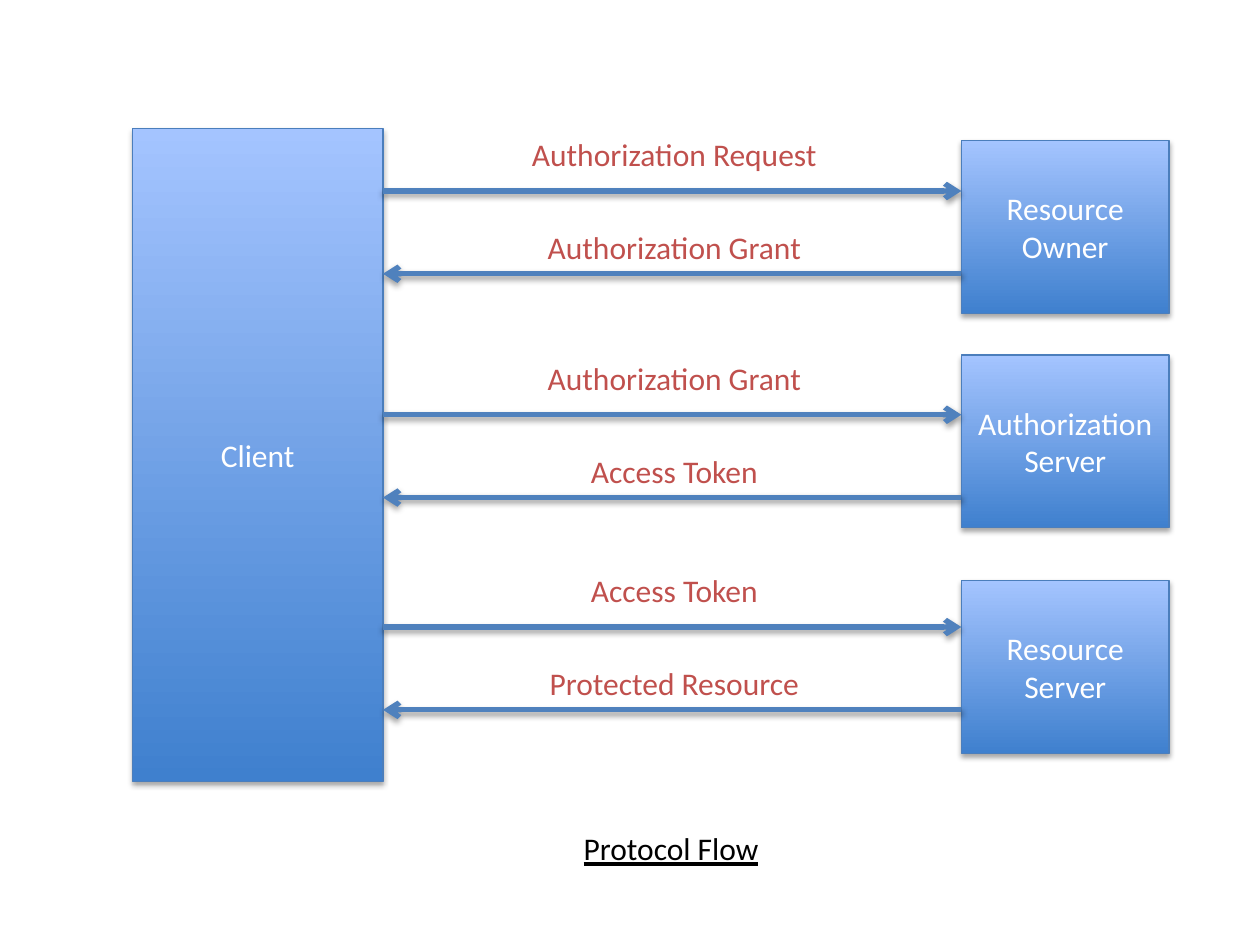
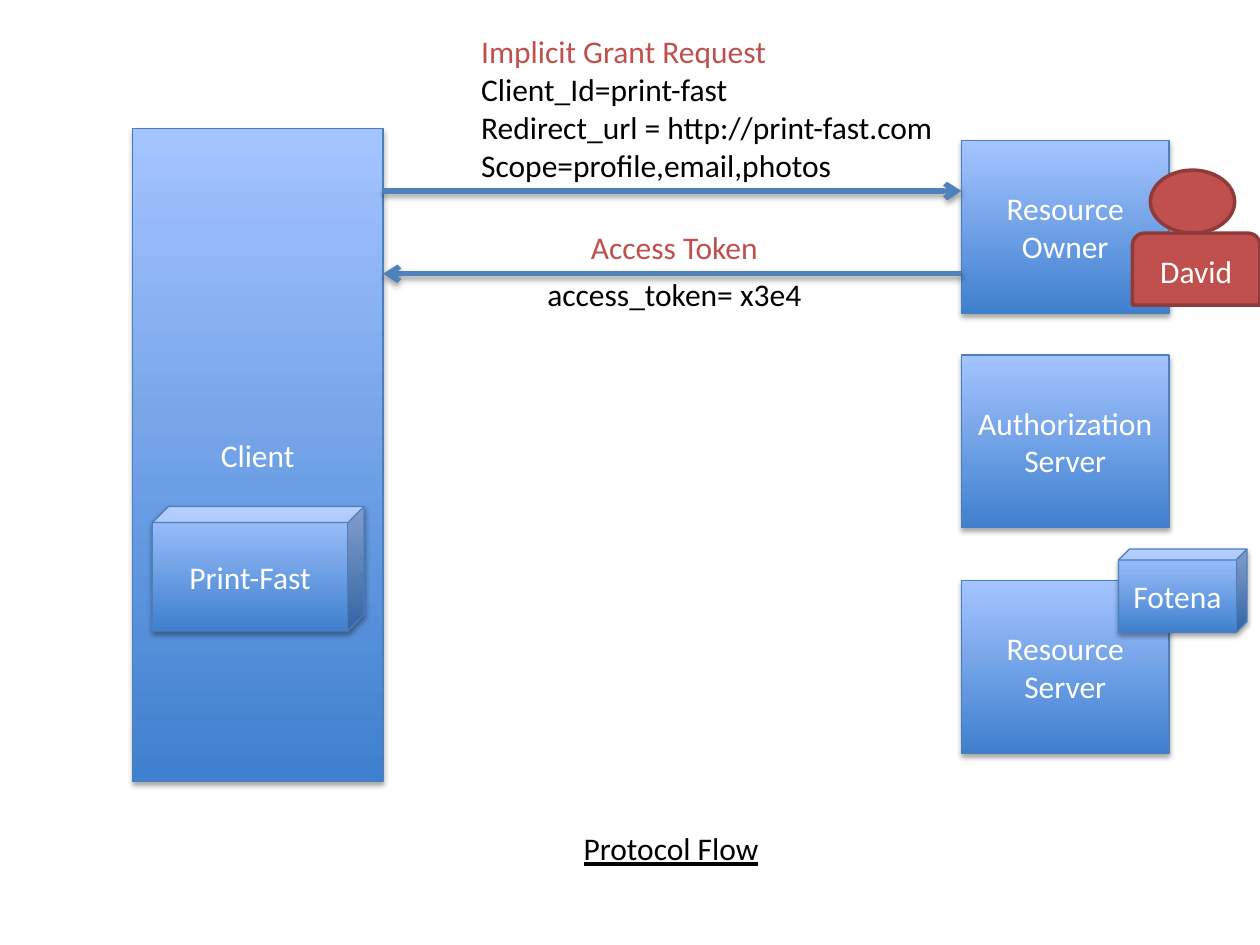
"""Build two slides that show the authorization protocol flow."""
from dataclasses import dataclass
from typing import Any

import lxml.etree
import pptx
import pptx.dml.color
import pptx.enum.shapes
import pptx.enum.text
import pptx.oxml.ns
import pptx.util

Cm = pptx.util.Cm
Pt = pptx.util.Pt
qn = pptx.oxml.ns.qn
Preset = pptx.enum.shapes.MSO_SHAPE
Align = pptx.enum.text.PP_ALIGN

FONT, TEXT_SIZE = "Calibri", 18
WHITE, BLACK, RED, DARK_RED = "FFFFFF", "000000", "C0504D", "8E3B39"
GRADIENT = ("3F80CE", "A4C4FF")
EDGE_BLUE, ARROW_BLUE = "4B7EBC", "4F81BD"

CLIENT_RIGHT, SERVER_LEFT = 7.72, 19.38
SERVER_WIDTH, SERVER_HEIGHT = 4.19, 3.48
LABEL_LEFT, LABEL_WIDTH, LABEL_HEIGHT = 9.86, 7.47, 1.02
ARROW_GAP, LABEL_GAP = 1.67, 1.88


@dataclass(frozen=True)
class Node:
    text: str
    left: float
    top: float
    width: float
    height: float
    preset: Any = Preset.RECTANGLE
    flat: bool = False


@dataclass(frozen=True)
class Label:
    text: str
    left: float
    top: float
    width: float
    height: float = LABEL_HEIGHT
    colors: tuple[str, ...] = (RED,)
    align: Any = Align.CENTER
    underline: bool = False


@dataclass(frozen=True)
class Exchange:
    request: str
    reply: str
    arrow_top: float
    label_top: float


def server(text: str, top: float) -> Node:
    return Node(text, SERVER_LEFT, top, SERVER_WIDTH, SERVER_HEIGHT)


def arrow_label(text: str, top: float, color: str = RED) -> Label:
    return Label(text, LABEL_LEFT, top, LABEL_WIDTH, colors=(color,))


PARTIES = (
    Node("Client", 2.67, 2.59, CLIENT_RIGHT - 2.67, 13.16),
    server("Resource Owner", 2.84),
    server("Authorization Server", 7.16),
    server("Resource Server", 11.71),
)
CAPTION = Label("Protocol Flow", 8.64, 16.59, 9.78, colors=(BLACK,), underline=True)
EXCHANGES = (
    Exchange("Authorization Request", "Authorization Grant", 3.85, 2.59),
    Exchange("Authorization Grant", "Access Token", 8.36, 7.11),
    Exchange("Access Token", "Protected Resource", 12.64, 11.38),
)
GRANT_REQUEST = Label(
    "Implicit Grant Request\nClient_Id=print-fast\n"
    "Redirect_url = http://print-fast.com\nScope=profile,email,photos",
    9.45, 0.53, 10.74, 4.11, (RED, BLACK, BLACK, BLACK), Align.LEFT)
USER = (
    Node("", 23.19, 3.43, 1.7, 1.27, Preset.OVAL, flat=True),
    Node("David", 22.83, 4.7, 2.57, 1.45, Preset.ROUND_2_SAME_RECTANGLE, flat=True),
)
PRINT_APP = Node("Print-Fast", 3.07, 10.21, 4.27, 2.51, Preset.CUBE)
PHOTO_APP = Node("Fotena", 22.55, 11.07, 2.59, 1.68, Preset.CUBE)


def rgb(color: str) -> pptx.dml.color.RGBColor:
    return pptx.dml.color.RGBColor.from_string(color)


def add_shadow(item: Any, distance: float, opacity: int) -> None:
    effects = lxml.etree.SubElement(item._element.spPr, qn("a:effectLst"))
    shadow = lxml.etree.SubElement(
        effects, qn("a:outerShdw"), blurRad=str(Pt(3.1)), dist=str(Pt(distance)),
        dir="5400000", rotWithShape="0")
    tone = lxml.etree.SubElement(shadow, qn("a:srgbClr"), val=BLACK)
    lxml.etree.SubElement(tone, qn("a:alpha"), val=str(opacity * 1000))


def write(frame: Any, text: str, colors: tuple[str, ...], align: Any,
          underline: bool = False) -> None:
    frame.word_wrap = True
    frame.text = text
    for para, color in zip(frame.paragraphs, colors):
        para.alignment = align
        for span in para.runs:
            span.font.name = FONT
            span.font.size = Pt(TEXT_SIZE)
            span.font.color.rgb = rgb(color)
            if underline:
                span.font.underline = True


def draw_node(shapes: Any, node: Node) -> None:
    box = shapes.add_shape(node.preset, Cm(node.left), Cm(node.top),
                           Cm(node.width), Cm(node.height))
    if node.preset == Preset.CUBE:
        box.adjustments[0] = 0.13
    box.line.color.rgb = rgb(DARK_RED if node.flat else EDGE_BLUE)
    box.line.width = Pt(2 if node.flat else 0.75)
    if node.flat:
        box.fill.solid()
        box.fill.fore_color.rgb = rgb(RED)
        box.shadow.inherit = False
    else:
        box.fill.gradient()
        box.fill.gradient_angle = 90
        for stop, color in zip(box.fill.gradient_stops, GRADIENT):
            stop.color.rgb = rgb(color)
        add_shadow(box, 1.8, 35)
    if node.text:
        box.text_frame.vertical_anchor = pptx.enum.text.MSO_ANCHOR.MIDDLE
        write(box.text_frame, node.text, (WHITE,), Align.CENTER)


def draw_label(shapes: Any, label: Label) -> None:
    box = shapes.add_textbox(Cm(label.left), Cm(label.top),
                             Cm(label.width), Cm(label.height))
    write(box.text_frame, label.text, label.colors, label.align, label.underline)
    box.text_frame.auto_size = pptx.enum.text.MSO_AUTO_SIZE.SHAPE_TO_FIT_TEXT


def draw_arrow(shapes: Any, start: float, end: float, top: float) -> None:
    arrow = shapes.add_connector(pptx.enum.shapes.MSO_CONNECTOR.STRAIGHT,
                                 Cm(start), Cm(top), Cm(end), Cm(top))
    arrow.line.color.rgb = rgb(ARROW_BLUE)
    arrow.line.width = Pt(3)
    outline = arrow._element.spPr.find(qn("a:ln"))
    lxml.etree.SubElement(outline, qn("a:tailEnd"), type="arrow")
    add_shadow(arrow, 1.6, 38)


def draw_arrow_pair(shapes: Any, top: float) -> None:
    draw_arrow(shapes, CLIENT_RIGHT, SERVER_LEFT, top)
    draw_arrow(shapes, SERVER_LEFT, CLIENT_RIGHT, top + ARROW_GAP)


def add_flow_page(deck: Any) -> Any:
    shapes = deck.slides.add_slide(deck.slide_layouts[6]).shapes
    for party in PARTIES:
        draw_node(shapes, party)
    draw_label(shapes, CAPTION)
    return shapes


def build_overview(deck: Any) -> None:
    shapes = add_flow_page(deck)
    for exchange in EXCHANGES:
        draw_arrow_pair(shapes, exchange.arrow_top)
        draw_label(shapes, arrow_label(exchange.request, exchange.label_top))
        draw_label(shapes, arrow_label(exchange.reply, exchange.label_top + LABEL_GAP))


def build_implicit_grant(deck: Any) -> None:
    shapes = add_flow_page(deck)
    draw_arrow_pair(shapes, EXCHANGES[0].arrow_top)
    draw_label(shapes, GRANT_REQUEST)
    draw_label(shapes, arrow_label("Access Token", 4.47))
    user = shapes.add_group_shape()
    for part in USER:
        draw_node(user.shapes, part)
    draw_node(shapes, PRINT_APP)
    draw_label(shapes, arrow_label("access_token= x3e4", 5.41, BLACK))
    draw_node(shapes, PHOTO_APP)


def main() -> None:
    deck = pptx.Presentation()
    deck.slide_width, deck.slide_height = Cm(25.4), Cm(19.05)
    build_overview(deck)
    build_implicit_grant(deck)
    deck.save("out.pptx")


if __name__ == "__main__":
    main()
